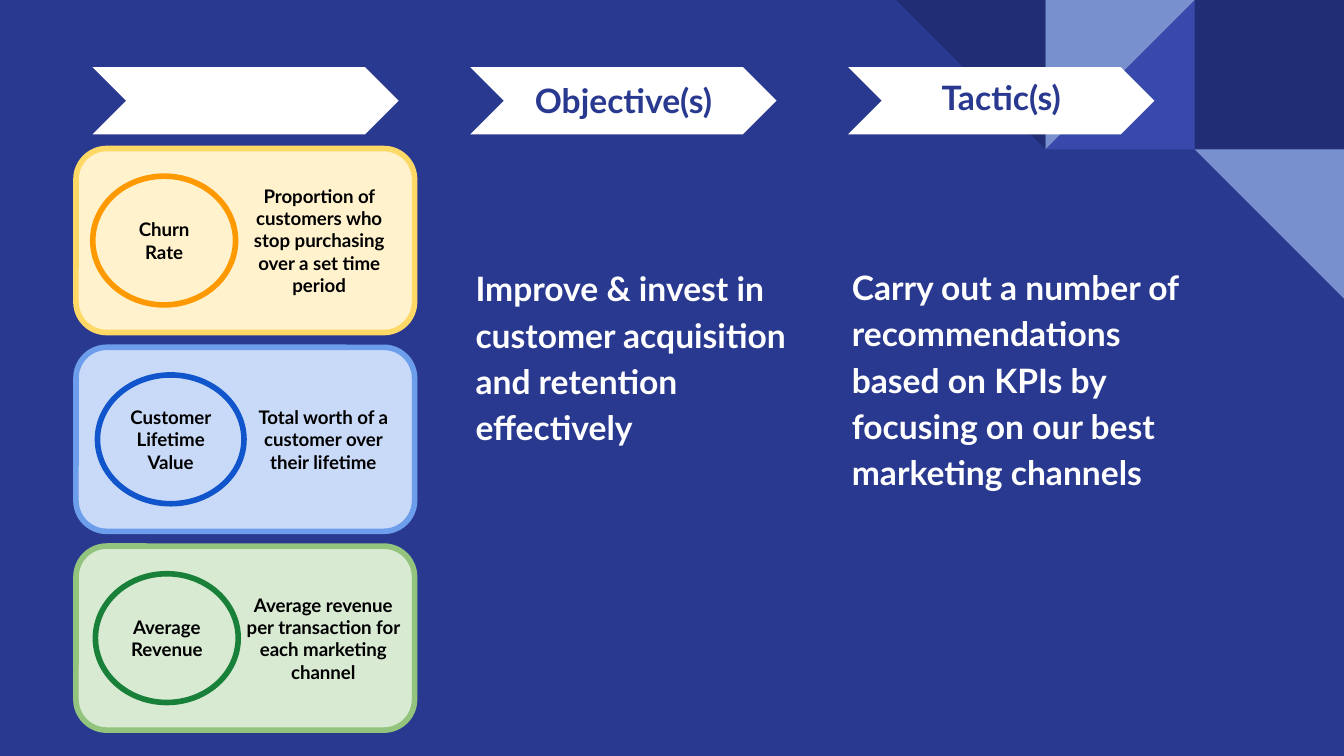
from dataclasses import dataclass

from pptx import Presentation
from pptx.dml.color import RGBColor
from pptx.enum import shapes, text
from pptx.util import Pt

KIND = shapes.MSO_SHAPE
ANCHOR = text.MSO_ANCHOR
ALIGN = text.PP_ALIGN


@dataclass(frozen=True)
class Theme:
    font: str = "Lato"
    heading_size: int = 18
    card_size: int = 10
    outline: int = 3
    navy: str = "2A3990"
    dark: str = "212D74"
    mid: str = "3949AB"
    light: str = "7890CD"
    white: str = "FFFFFF"
    black: str = "000000"
    # Card fill, card border, ellipse border
    orange: tuple = ("FFF2CC", "FFD966", "FF9900")
    blue: tuple = ("C9DAF8", "6D9EEB", "1155CC")
    green: tuple = ("D9EAD3", "93C47D", "188038")


THEME = Theme()


def rgb(value):
    return RGBColor.from_string(value)


def add_figure(slide, kind, box, fill, border=None):
    figure = slide.shapes.add_shape(kind, *map(Pt, box))
    figure.shadow.inherit = False
    figure.fill.solid()
    figure.fill.fore_color.rgb = rgb(fill)
    if border:
        figure.line.color.rgb = rgb(border)
        figure.line.width = Pt(THEME.outline)
    else:
        figure.line.fill.background()
    return figure


def add_words(slide, box, words, size, color, align=ALIGN.CENTER, anchor=ANCHOR.MIDDLE):
    frame = slide.shapes.add_textbox(*map(Pt, box)).text_frame
    frame.word_wrap = True
    frame.vertical_anchor = anchor
    frame.margin_left = frame.margin_right = Pt(7.2)
    frame.margin_top = frame.margin_bottom = Pt(7.2)
    frame.text = words
    for paragraph in frame.paragraphs:
        paragraph.alignment = align
        for run in paragraph.runs:
            run.font.name = THEME.font
            run.font.size = Pt(size)
            run.font.bold = True
            run.font.color.rgb = rgb(color)
    return frame


def add_corner(slide, left, top, tile):
    """Corner mosaic: column, row, shape, rotation and colour of each tile."""
    triangle = KIND.RIGHT_TRIANGLE
    mosaic = [
        (2, 0, KIND.RECTANGLE, 0, THEME.dark),
        (1, 0, triangle, 270, THEME.mid),
        (1, 0, triangle, 90, THEME.light),
        (0, 0, triangle, 180, THEME.dark),
        (2, 1, triangle, 180, THEME.light),
    ]
    for column, row, kind, rotation, color in mosaic:
        box = (left + column * tile, top + row * tile, tile, tile)
        add_figure(slide, kind, box, color).rotation = rotation


def add_header(slide, left, top, width, height, title, title_drop):
    """Chevron banner, with a title when there is one."""
    add_figure(slide, KIND.CHEVRON, (left, top, width, height), THEME.white)
    if title:
        title_box = (left + 15, top + title_drop, width - 30, 20)
        add_words(slide, title_box, title, THEME.heading_size, THEME.navy)


def add_card(slide, left, top, width, height, metric):
    """Metric card: name in an ellipse on the left, meaning on the right."""
    name, meaning, lines, colors, indent, ellipse_width, meaning_left = metric
    fill, border, ring = colors
    middle = top + height / 2
    add_figure(slide, KIND.ROUNDED_RECTANGLE, (left, top, width, height), fill, border)

    ellipse_height = 69
    ellipse_box = (left + indent, middle - ellipse_height / 2, ellipse_width, ellipse_height)
    add_figure(slide, KIND.OVAL, ellipse_box, fill, ring)

    name_width, name_height = 66, 49
    name_left = left + indent + (ellipse_width - name_width) / 2
    name_box = (name_left, middle - name_height / 2, name_width, name_height)
    add_words(slide, name_box, name, THEME.card_size, THEME.black)

    meaning_height = 12 * lines + 15
    meaning_box = (left + meaning_left, middle - meaning_height / 2, 98.6, meaning_height)
    add_words(slide, meaning_box, meaning, THEME.card_size, THEME.black)


def add_body(slide, left, top, width, height, words):
    """Left-aligned statement under a header."""
    frame = add_words(slide, (left, top, width, height), words, THEME.heading_size,
                      THEME.white, ALIGN.LEFT, ANCHOR.TOP)
    frame.paragraphs[0].line_spacing = 1.15
    frame.paragraphs[0].space_after = Pt(8)


def main():
    deck = Presentation()
    deck.slide_width, deck.slide_height = Pt(720), Pt(405)
    slide = deck.slides.add_slide(deck.slide_layouts[6])
    slide.background.fill.solid()
    slide.background.fill.fore_color.rgb = rgb(THEME.navy)

    add_corner(slide, 480, 0, 80)

    # Column headers
    headers = [("", 0), ("Objective(s)", 7.6), ("Tactic(s)", 6)]
    for column, (title, title_drop) in enumerate(headers):
        add_header(slide, 49.6 + column * 202.4, 36, 164, 36, title, title_drop)

    # Metrics: name, meaning, lines, colours, indent, ellipse width, meaning left
    metrics = [
        ("Churn\nRate",
         "Proportion of customers who stop purchasing over a set time period",
         5, THEME.orange, 9, 76.5, 81),
        ("Customer Lifetime Value",
         "Total worth of a customer over their lifetime",
         3, THEME.blue, 11.5, 78.5, 83.2),
        ("Average\nRevenue",
         "Average revenue per transaction for each marketing channel",
         4, THEME.green, 10.4, 76.5, 83.2),
    ]
    for row, metric in enumerate(metrics):
        add_card(slide, 40.7, 79.6 + row * 106.5, 181.4, 98.6, metric)

    # Statements
    add_body(slide, 247.7, 133.2, 184.3, 105,
             "Improve & invest in customer acquisition and retention effectively")
    add_body(slide, 449.3, 132.5, 194.4, 182,
             "Carry out a number of recommendations based on KPIs by "
             "focusing on our best marketing channels")

    deck.save("out.pptx")


if __name__ == "__main__":
    main()
